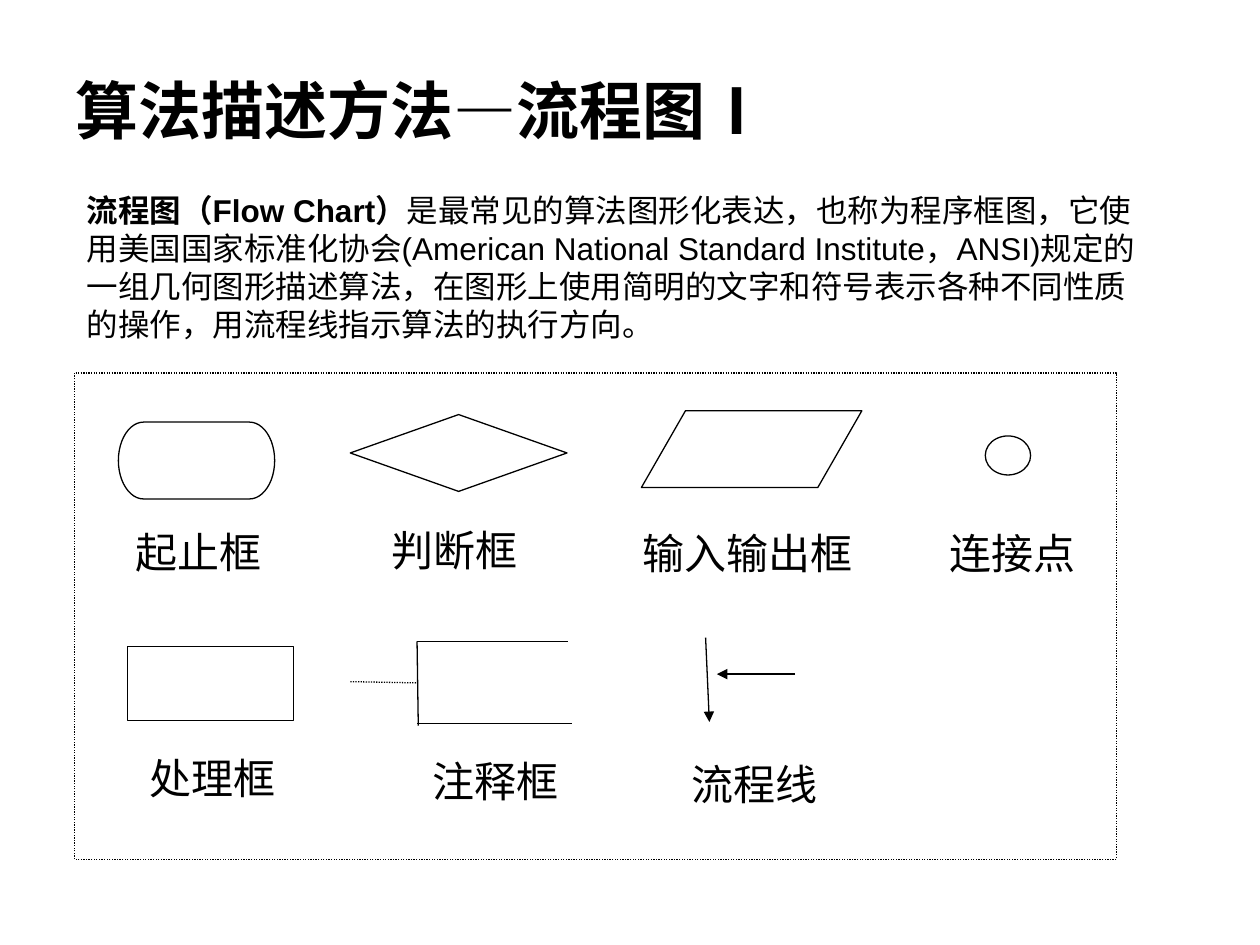
"""Build a slide that introduces the standard flow chart symbols."""
from lxml.etree import SubElement
from pptx import Presentation
from pptx.dml.color import RGBColor
from pptx.enum.dml import MSO_LINE
from pptx.enum.shapes import MSO_CONNECTOR, MSO_SHAPE as SHAPE
from pptx.enum.text import MSO_ANCHOR, MSO_AUTO_SIZE, PP_ALIGN
from pptx.oxml.ns import qn
from pptx.util import Inches, Pt

BLACK = RGBColor(0, 0, 0)
WHITE = RGBColor(255, 255, 255)
DOTTED = MSO_LINE.ROUND_DOT
INSET = 0.1

TITLE = [
    ("算法描述方法—流程图", {"name": "Calibri", "size": Pt(36), "bold": True}),
    ("Ⅰ", {"name": "Noto Sans CJK SC", "size": Pt(36), "bold": True}),
]
DEFINITION = [
    ("流程图（Flow Chart）", {"name": "Arial", "size": Pt(18), "bold": True}),
    ("是最常见的算法图形化表达，也称为程序框图，它使用美国国家标准化协会"
     "(American National Standard Institute，ANSI)规定的一组几何图形描述算法，"
     "在图形上使用简明的文字和符号表示各种不同性质的操作，用流程线指示算法的执行方向。",
     {"name": "Arial", "size": Pt(18), "bold": False}),
]
LABEL_FONT = {"name": "Calibri", "size": Pt(24)}

SYMBOLS = [
    (SHAPE.FLOWCHART_TERMINATOR, (0.94, 3.35, 1.24, 0.61)),
    (SHAPE.FLOWCHART_DECISION, (2.78, 3.29, 1.72, 0.61)),
    (SHAPE.FLOWCHART_DATA, (5.09, 3.26, 1.75, 0.61)),
    (SHAPE.FLOWCHART_CONNECTOR, (7.82, 3.46, 0.36, 0.31)),
    (SHAPE.FLOWCHART_PROCESS, (1.01, 5.13, 1.32, 0.59)),
]
LABELS = [
    ("起止框", 0.98, 4.13, 1.26, 0),
    ("判断框", 2.98, 4.11, 1.26, 0.03),
    ("输入输出框", 4.84, 4.14, 2.14, 0.16),
    ("连接点", 7.44, 4.14, 1.26, 0),
    ("处理框", 1.09, 5.92, 1.26, 0),
    ("注释框", 3.27, 5.95, 1.45, 0.06),
    ("流程线", 5.31, 5.97, 1.58, 0.08),
]
FLOW_ARROWS = [
    (5.6, 5.06, 5.63, 5.73),
    (6.31, 5.35, 5.69, 5.35),
]
NOTE_LEADER = (2.78, 5.41, 3.31, 5.42)
NOTE_BRACKET = [
    (3.31, 5.09, 3.32, 5.76),
    (3.31, 5.09, 4.51, 5.09),
    (3.31, 5.74, 4.54, 5.74),
]


def write_runs(paragraph, runs, alignment=PP_ALIGN.LEFT):
    paragraph.alignment = alignment
    for text, font_format in runs:
        run = paragraph.add_run()
        run.text = text
        for name, value in font_format.items():
            setattr(run.font, name, value)
        run.font.color.rgb = BLACK


def style_line(line, dash=None):
    line.color.rgb = BLACK
    line.width = Pt(0.75)
    if dash:
        line.dash_style = dash


def add_white_shape(shapes, kind, box):
    shape = shapes.add_shape(kind, *map(Inches, box))
    shape.shadow.inherit = False
    shape.fill.solid()
    shape.fill.fore_color.rgb = WHITE
    return shape


def add_label(shapes, text, left, top, width, indent):
    shape = add_white_shape(shapes, SHAPE.RECTANGLE, (left, top, width, 0.5))
    shape.line.fill.background()
    frame = shape.text_frame
    frame.word_wrap = True
    frame.vertical_anchor = MSO_ANCHOR.TOP
    frame.margin_left = Inches(INSET + indent)
    write_runs(frame.paragraphs[0], [(text, LABEL_FONT)], PP_ALIGN.JUSTIFY)


def add_line(shapes, ends, dash=None, arrow=False):
    connector = shapes.add_connector(MSO_CONNECTOR.STRAIGHT, *map(Inches, ends))
    style_line(connector.line, dash)
    if arrow:
        SubElement(connector.line._get_or_add_ln(), qn("a:tailEnd"), type="triangle")
    SubElement(connector._element.spPr, qn("a:effectLst"))


def main():
    presentation = Presentation()
    presentation.slide_width, presentation.slide_height = Inches(10), Inches(7.5)
    slide = presentation.slides.add_slide(presentation.slide_layouts[5])

    title = slide.shapes.title
    title.left, title.top, title.width, title.height = map(Inches, (0.5, 0.36, 9, 1.01))
    title.text_frame.vertical_anchor = MSO_ANCHOR.MIDDLE
    title.text_frame.auto_size = MSO_AUTO_SIZE.NONE
    write_runs(title.text_frame.paragraphs[0], TITLE)

    definition = slide.shapes.add_textbox(*map(Inches, (0.59, 1.47, 8.66, 1.31)))
    definition.text_frame.word_wrap = True
    definition.text_frame.auto_size = MSO_AUTO_SIZE.SHAPE_TO_FIT_TEXT
    write_runs(definition.text_frame.paragraphs[0], DEFINITION)

    legend = slide.shapes.add_group_shape().shapes
    frame = add_white_shape(legend, SHAPE.RECTANGLE, (0.59, 2.96, 8.27, 3.86))
    style_line(frame.line, DOTTED)
    for kind, box in SYMBOLS:
        style_line(add_white_shape(legend, kind, box).line)
    for label in LABELS:
        add_label(legend, *label)
    for ends in FLOW_ARROWS:
        add_line(legend, ends, arrow=True)
    add_line(legend, NOTE_LEADER, DOTTED)
    for ends in NOTE_BRACKET:
        add_line(legend, ends)

    presentation.save("out.pptx")


if __name__ == "__main__":
    main()
